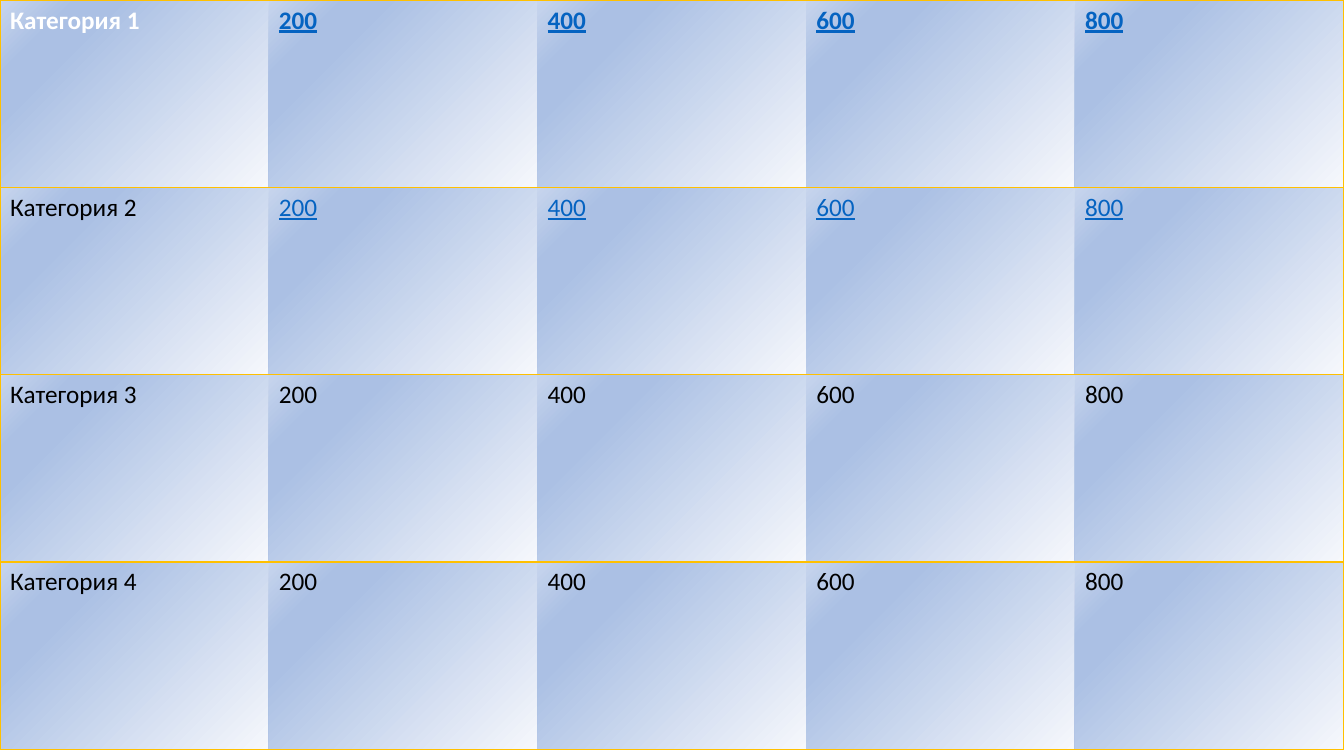
from dataclasses import dataclass

from lxml import etree
from pptx import Presentation
from pptx import util as u
from pptx.dml.color import RGBColor
from pptx.oxml import ns
from pptx.table import _Cell

COLORS = {
    "border": "FFC000",
    "heading": "FFFFFF",
    "body": "000000",
    "link": "0563C1",
    "pale": "F6F8FC",
    "blue": "ABC0E4",
    "light": "C7D5ED",
}
GRADIENT = [(0, "pale"), (74, "blue"), (83, "blue"), (100, "light")]
SCORES = ["200", "400", "600", "800"]
NO_STYLE = "{2D5ABB26-0587-4C30-8999-92F81FD0307C}"
COLUMN_WIDTH = u.Cm(6.77)
ROW_HEIGHT = u.Cm(4.72)


@dataclass(frozen=True)
class Category:
    name: str
    name_color: str = "body"
    score_color: str = "body"
    bold: bool = False
    underline: bool = False


CATEGORIES = [
    Category("Категория 1", "heading", "link", bold=True, underline=True),
    Category("Категория 2", score_color="link", underline=True),
    Category("Категория 3"),
    Category("Категория 4"),
]


def add_node(parent: etree._Element, tag: str, **attributes: str) -> etree._Element:
    return etree.SubElement(parent, ns.qn(f"a:{tag}"), attributes)


def add_border(cell: _Cell, side: str) -> None:
    line = add_node(cell._tc.get_or_add_tcPr(), f"ln{side}", w=str(u.Pt(1)))
    add_node(add_node(line, "solidFill"), "srgbClr", val=COLORS["border"])


def add_gradient(cell: _Cell) -> None:
    fill = add_node(cell._tc.get_or_add_tcPr(), "gradFill", rotWithShape="1")
    stops = add_node(fill, "gsLst")
    for percent, color in GRADIENT:
        stop = add_node(stops, "gs", pos=str(percent * 1000))
        add_node(stop, "srgbClr", val=COLORS[color])
    circle = add_node(fill, "path", path="circle")
    add_node(circle, "fillToRect", l="100000", t="100000")
    add_node(fill, "tileRect", r="-100000", b="-100000")


def write_cell(cell: _Cell, words: str, color: str, bold: bool, underline: bool) -> None:
    cell.text_frame.text = words
    font = cell.text_frame.paragraphs[0].runs[0].font
    font.name = "Calibri"
    font.size = u.Pt(18)
    font.bold = bold
    font.underline = underline
    font.color.rgb = RGBColor.from_string(COLORS[color])


def main() -> None:
    deck = Presentation()
    deck.slide_width = u.Inches(13.33)
    deck.slide_height = u.Inches(7.5)
    page = deck.slides.add_slide(deck.slide_layouts[6])

    row_count, column_count = len(CATEGORIES), len(SCORES) + 1
    frame = page.shapes.add_table(
        row_count, column_count, 0, 0,
        COLUMN_WIDTH * column_count, ROW_HEIGHT * row_count,
    )
    board = frame.table
    board.first_row = False
    board.horz_banding = False
    board._tbl.tblPr.find(ns.qn("a:tableStyleId")).text = NO_STYLE
    for column in board.columns:
        column.width = COLUMN_WIDTH
    for row in board.rows:
        row.height = ROW_HEIGHT

    for row, category in zip(board.rows, CATEGORIES):
        for index, (cell, words) in enumerate(zip(row.cells, [category.name, *SCORES])):
            is_name = index == 0
            color = category.name_color if is_name else category.score_color
            write_cell(cell, words, color, category.bold, category.underline and not is_name)
            sides = ("L" if is_name else "") + ("R" if index == len(SCORES) else "") + "TB"
            for side in sides:
                add_border(cell, side)
            add_gradient(cell)

    deck.save("out.pptx")


if __name__ == "__main__":
    main()
